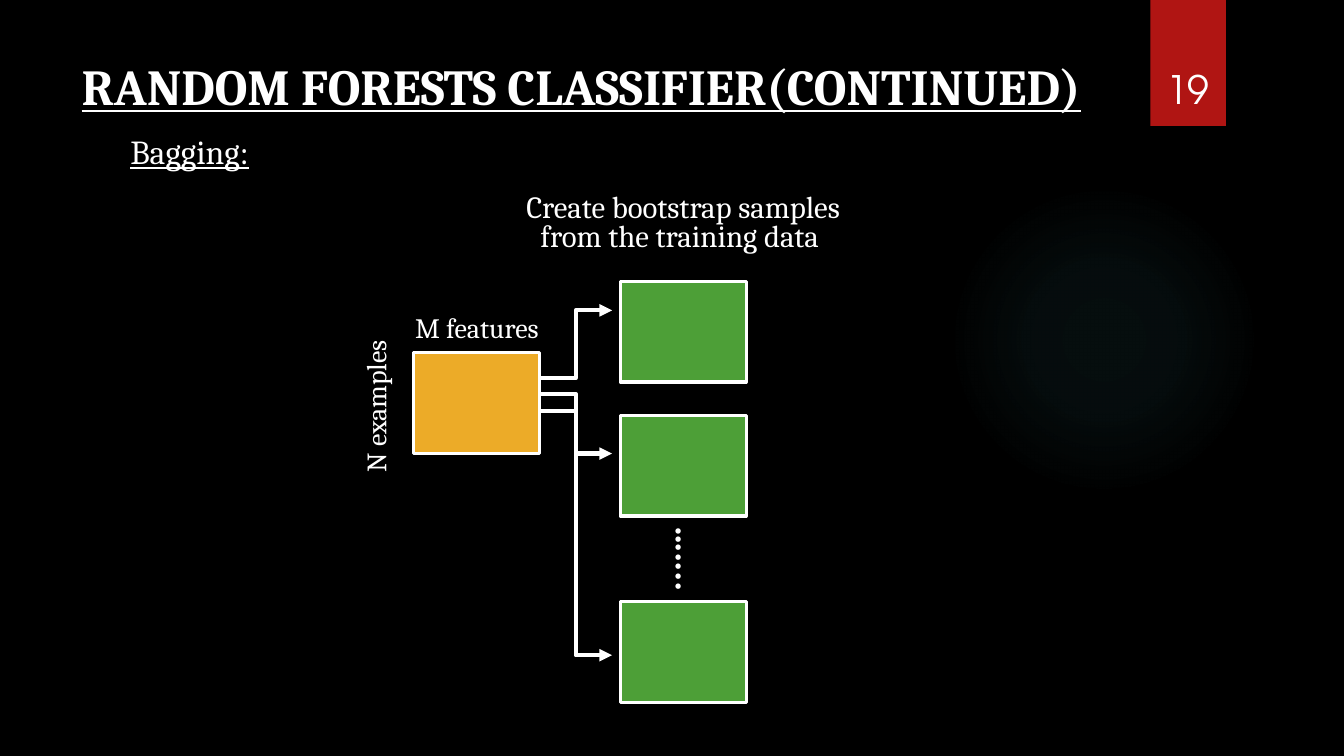
from pptx import Presentation
from pptx.dml.color import RGBColor
from pptx.enum.shapes import MSO_CONNECTOR, MSO_SHAPE
from pptx.enum.text import MSO_ANCHOR, MSO_AUTO_SIZE, PP_ALIGN
from pptx.oxml import parse_xml
from pptx.oxml.ns import nsdecls
from pptx.util import Inches, Pt


def color(value):
    return RGBColor.from_string(value)


class DiagramSlide:
    """Holds the style and the slide, and draws each kind of element."""

    FONT = "Cambria"
    WHITE = "FFFFFF"
    GLOW = "50B9C1"

    def __init__(self, presentation):
        self.slide = presentation.slides.add_slide(presentation.slide_layouts[5])
        self.shapes = self.slide.shapes
        background = self.slide.background.fill
        background.solid()
        background.fore_color.rgb = color("000000")

    def format_paragraph(self, paragraph, size, font=FONT, align=PP_ALIGN.CENTER,
                         bold=False, underline=False, spacing=None):
        paragraph.alignment = align
        paragraph.line_spacing = spacing
        paragraph.font.name = font
        paragraph.font.size = Pt(size)
        paragraph.font.bold = bold
        paragraph.font.underline = underline
        paragraph.font.color.rgb = color(self.WHITE)

    def title(self, text, left, top, width, height):
        heading = self.shapes.title
        heading.left, heading.top = Inches(left), Inches(top)
        heading.width, heading.height = Inches(width), Inches(height)
        frame = heading.text_frame
        frame.text = text
        frame.vertical_anchor = MSO_ANCHOR.TOP
        frame.auto_size = MSO_AUTO_SIZE.NONE
        self.format_paragraph(frame.paragraphs[0], 36, align=PP_ALIGN.LEFT,
                              bold=True, underline=True)

    def label(self, lines, left, top, width, height, size, rotation=0, wrap=True,
              anchor=MSO_ANCHOR.TOP, grow=True, **style):
        box = self.shapes.add_textbox(Inches(left), Inches(top), Inches(width), Inches(height))
        box.rotation = rotation
        frame = box.text_frame
        frame.text = lines
        frame.word_wrap = wrap
        frame.vertical_anchor = anchor
        frame.auto_size = MSO_AUTO_SIZE.SHAPE_TO_FIT_TEXT if grow else MSO_AUTO_SIZE.NONE
        for paragraph in frame.paragraphs:
            self.format_paragraph(paragraph, size, **style)

    def block(self, left, top, width, height, fill, outlined=True):
        rectangle = self.shapes.add_shape(
            MSO_SHAPE.RECTANGLE, Inches(left), Inches(top), Inches(width), Inches(height))
        rectangle.shadow.inherit = False
        rectangle.fill.solid()
        rectangle.fill.fore_color.rgb = color(fill)
        if outlined:
            rectangle.line.color.rgb = color(self.WHITE)
            rectangle.line.width = Pt(2.25)
        else:
            rectangle.line.fill.background()

    def glow(self, left, top, diameter):
        halo = self.shapes.add_shape(
            MSO_SHAPE.OVAL, Inches(left), Inches(top), Inches(diameter), Inches(diameter))
        halo.shadow.inherit = False
        halo.line.fill.background()
        stops = "".join(
            f'<a:gs pos="{position}000"><a:srgbClr val="{self.GLOW}">'
            f'<a:alpha val="{alpha}000"/></a:srgbClr></a:gs>'
            for position, alpha in ((0, 7), (36, 6), (69, 0)))
        gradient = parse_xml(
            f'<a:gradFill {nsdecls("a")}><a:gsLst>{stops}</a:gsLst><a:path path="circle">'
            '<a:fillToRect l="50000" t="50000" r="50000" b="50000"/></a:path></a:gradFill>')
        halo._element.spPr.prstGeom.addnext(gradient)

    def arrow(self, start_x, start_y, end_x, end_y):
        elbow = self.shapes.add_connector(
            MSO_CONNECTOR.ELBOW, Inches(start_x), Inches(start_y), Inches(end_x), Inches(end_y))
        elbow.line.color.rgb = color(self.WHITE)
        elbow.line.width = Pt(3)
        elbow.line._get_or_add_ln().append(
            parse_xml(f'<a:tailEnd {nsdecls("a")} type="triangle"/>'))
        elbow._element.spPr.append(parse_xml(f'<a:effectLst {nsdecls("a")}/>'))


def main():
    presentation = Presentation()
    presentation.slide_width, presentation.slide_height = Inches(13.33), Inches(7.5)
    bagging = DiagramSlide(presentation)

    bagging.glow(9.41, 1.83, 3.08)
    bagging.block(11.41, 0, 0.75, 1.25, "B01513", outlined=False)
    bagging.title("RANDOM FORESTS CLASSIFIER(CONTINUED)", 0.71, 0.5, 10.93, 1.53)
    bagging.label("19", 11.32, 0.32, 0.92, 0.84, 28, font="TeX Gyre Adventor",
                  anchor=MSO_ANCHOR.BOTTOM, grow=False)
    bagging.label("Bagging:", -0.12, 1.33, 4, 0.43, 24, underline=True, spacing=0.8)
    bagging.label("Create bootstrap samples\nfrom the training data ",
                  3.69, 1.88, 6.17, 0.7, 22, spacing=0.8)

    block_width, block_height = 1.25, 1
    data_left, sample_left = 4.1, 6.15
    data_right = data_left + block_width
    for sample_top, exit_y, entry_y in (
            (2.79, 3.75, 3.08), (4.12, 4.08, 4.5), (5.97, 3.91, 6.5)):
        bagging.block(sample_left, sample_top, block_width, block_height, "4D9F37")
        bagging.arrow(data_right, exit_y, sample_left - 0.08, entry_y)
    bagging.block(data_left, 3.5, block_width, block_height, "ECAB28")

    bagging.label("M features", 4, 3.03, 1.46, 0.44, 20, wrap=False)
    bagging.label("N examples", 2.94, 3.78, 1.63, 0.5, 20, rotation=270, wrap=False)
    bagging.label("....…", 6.18, 5.28, 0.85, 0.53, 26, rotation=270, wrap=False,
                  font="Calibri", bold=True)

    presentation.save("out.pptx")


if __name__ == "__main__":
    main()
